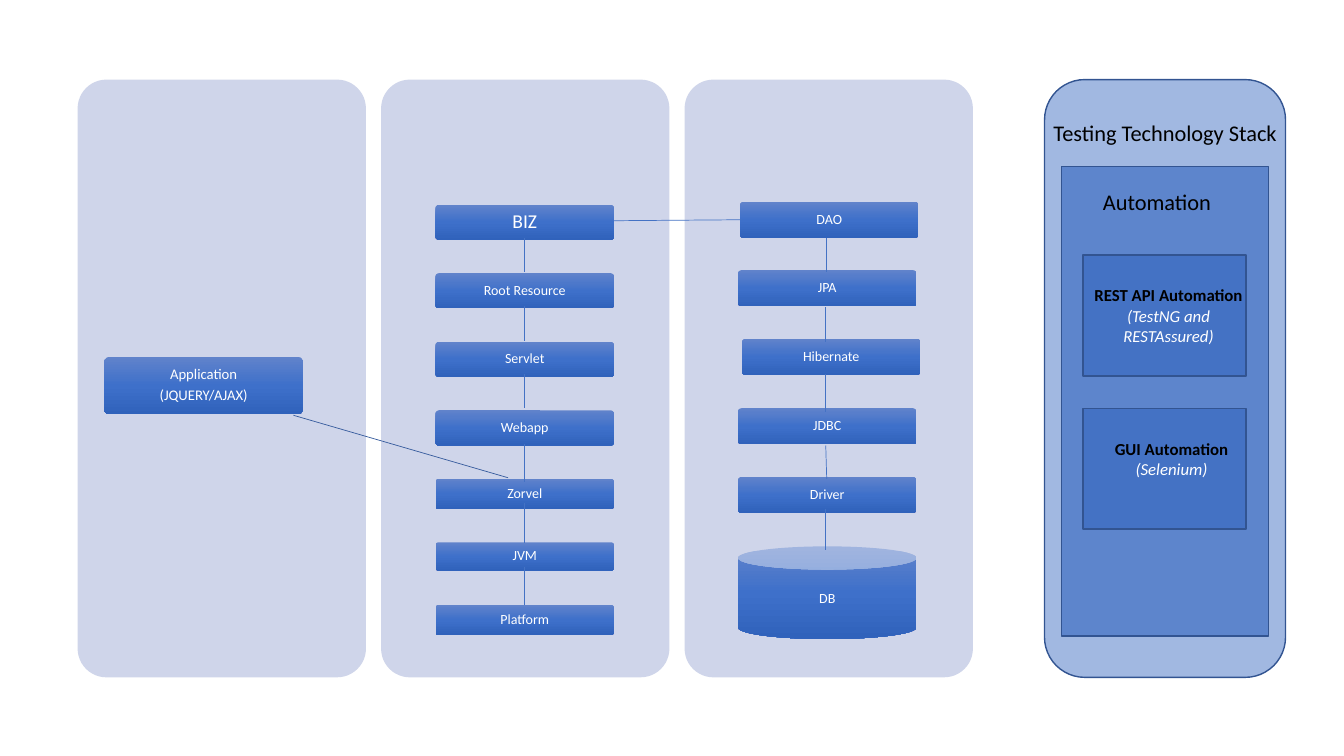
from copy import deepcopy

from lxml.etree import SubElement
from pptx import Presentation
from pptx.dml.color import RGBColor
from pptx.enum.shapes import MSO_CONNECTOR, MSO_SHAPE
from pptx.enum.text import MSO_ANCHOR, PP_ALIGN
from pptx.oxml.ns import qn
from pptx.util import Inches, Pt

FONT = "Calibri"
BLUE, OUTLINE, WHITE, BLACK = "4472C4", "325491", "FFFFFF", "000000"
BAR_WIDTH = 1.77
PANEL_TOP, PANEL_WIDTH, PANEL_HEIGHT = 0.79, 2.86, 5.93

# label, left and top within the panel, height, text size
SERVER_BARS = [
    ("BIZ", 0.54, 1.24, 0.35, 14),
    ("Root Resource", 0.54, 1.92, 0.35, 10),
    ("Servlet", 0.54, 2.6, 0.35, 10),
    ("Webapp", 0.54, 3.28, 0.35, 10),
    ("Zorvel", 0.54, 3.96, 0.3, 10),
    ("JVM", 0.54, 4.59, 0.28, 10),
    ("Platform", 0.54, 5.21, 0.3, 10),
]
DATA_BARS = [
    ("DAO", 0.55, 1.21, 0.36, 10),
    ("JPA", 0.53, 1.89, 0.36, 10),
    ("Hibernate", 0.57, 2.57, 0.36, 10),
    ("JDBC", 0.53, 3.26, 0.36, 10),
    ("Driver", 0.53, 3.94, 0.36, 10),
]
# x and y of start, x and y of end, within the panel
SERVER_LINKS = [(1.42, start, 1.42, end) for start, end in [
    (1.57, 1.91), (2.25, 2.59), (2.92, 3.26),
    (3.61, 3.99), (4.2, 4.6), (4.84, 5.21)]]
DATA_LINKS = [
    (1.41, 1.57, 1.41, 1.91), (1.4, 2.26, 1.4, 2.6), (1.4, 2.92, 1.4, 3.3),
    (1.4, 3.63, 1.41, 3.96), (1.4, 4.26, 1.4, 4.67)]


def rgb(hex_color):
    return RGBColor.from_string(hex_color)


def add_block(slide, kind, box, fill=BLUE, line=None, opacity=None, corner=None):
    block = slide.shapes.add_shape(kind, *map(Inches, box))
    block.shadow.inherit = False
    if corner is not None:
        block.adjustments[0] = corner
    block.fill.solid()
    block.fill.fore_color.rgb = rgb(fill)
    if opacity is not None:
        color = block.fill._xPr.find(f"{qn('a:solidFill')}/{qn('a:srgbClr')}")
        SubElement(color, qn("a:alpha"), val=str(opacity * 1000))
    if line:
        block.line.color.rgb = rgb(line)
        block.line.width = Pt(1)
    else:
        block.line.fill.background()
    return block


def shade(block):
    """Fill a block with the three-step vertical gradient."""
    block.fill.gradient()
    block.fill.gradient_angle = 270
    top, bottom = block.fill.gradient_stops
    top.color.rgb, bottom.color.rgb = rgb("6183CB"), rgb("3062BB")
    top.position, bottom.position = 0, 1
    stops = block.fill._xPr.find(f"{qn('a:gradFill')}/{qn('a:gsLst')}")
    middle = deepcopy(stops[0])
    middle.set("pos", "50000")
    middle[0].set("val", "3E70CA")
    stops.insert(1, middle)


def style_run(run, size, color, bold=False, italic=False):
    run.font.name, run.font.size = FONT, Pt(size)
    run.font.color.rgb = rgb(color)
    run.font.bold, run.font.italic = bold, italic


def add_bar(slide, box, label, size, kind=MSO_SHAPE.ROUNDED_RECTANGLE, corner=0.1):
    bar = add_block(slide, kind, box, corner=corner)
    shade(bar)
    frame = bar.text_frame
    frame.text = label
    frame.word_wrap = True
    frame.vertical_anchor = MSO_ANCHOR.MIDDLE
    frame.margin_left = frame.margin_right = Inches(0.02)
    frame.margin_top = frame.margin_bottom = Inches(0.02)
    for paragraph in frame.paragraphs:
        paragraph.alignment = PP_ALIGN.CENTER
        paragraph.line_spacing = 0.9
        style_run(paragraph.runs[0], size, WHITE)
    for paragraph in frame.paragraphs[:-1]:
        paragraph.space_after = Pt(3.7)


def add_link(slide, ends, color=BLUE):
    link = slide.shapes.add_connector(MSO_CONNECTOR.STRAIGHT, *map(Inches, ends))
    link.line.color.rgb = rgb(color)
    link.line.width = Pt(0.5)
    SubElement(link._element.spPr, qn("a:effectLst"))


def add_panel(slide, box):
    add_block(slide, MSO_SHAPE.ROUNDED_RECTANGLE, box, "CFD5EA", corner=0.1)


def add_client_panel(slide, box):
    left, top = box[:2]
    add_panel(slide, box)
    add_bar(slide, (left + 0.26, top + 2.75, 1.98, 0.57),
            "Application\n(JQUERY/AJAX)", 10.5)


def add_stack_panel(slide, box, bars):
    left, top = box[:2]
    add_panel(slide, box)
    for label, dx, dy, height, size in bars:
        add_bar(slide, (left + dx, top + dy, BAR_WIDTH, height), label, size)


def add_database(slide, panel):
    left, top = panel[:2]
    add_bar(slide, (left + 0.53, top + 4.63, BAR_WIDTH, 0.92), "DB", 10,
            MSO_SHAPE.CAN, 0.25)


def add_stack_links(slide, panel, links):
    left, top = panel[:2]
    for x1, y1, x2, y2 in links:
        add_link(slide, (left + x1, top + y1, left + x2, top + y2))


def add_caption(slide, box, title, detail=None):
    """Add a heading, or a bold name with its tools in italics."""
    caption = slide.shapes.add_textbox(*map(Inches, box))
    frame = caption.text_frame
    frame.word_wrap = detail is not None
    paragraph = frame.paragraphs[0]
    if detail is None:
        paragraph.text = title
        style_run(paragraph.runs[0], 16, BLACK)
        return
    paragraph.alignment = PP_ALIGN.CENTER
    for text, color, is_name in [(title + " ", BLACK, True), (detail, WHITE, False)]:
        run = paragraph.add_run()
        run.text = text
        style_run(run, 12, color, bold=is_name, italic=not is_name)


def add_testing_panel(slide, box):
    left, top = box[:2]
    add_block(slide, MSO_SHAPE.ROUNDED_RECTANGLE, box, line=OUTLINE, opacity=50)
    add_caption(slide, (left - 0.01, top + 0.34, 2.44, 0.37), "Testing Technology Stack")
    add_block(slide, MSO_SHAPE.RECTANGLE, (left + 0.17, top + 0.86, 2.05, 4.66),
              line=OUTLINE, opacity=72)
    add_caption(slide, (left + 0.48, top + 1.03, 1.29, 0.37), "Automation")
    for dy, dx, height, name, tools in [
            (1.74, 0.38, 0.71, "REST API Automation", "(TestNG and RESTAssured)"),
            (3.26, 0.41, 0.5, "GUI Automation", "(Selenium)")]:
        add_block(slide, MSO_SHAPE.RECTANGLE, (left + 0.38, top + dy, 1.62, 1.2),
                  line=OUTLINE)
        add_caption(slide, (left + dx, top + dy + 0.25, 1.7, height), name, tools)


def main():
    deck = Presentation()
    deck.slide_width, deck.slide_height = Inches(13.33), Inches(7.5)
    slide = deck.slides.add_slide(deck.slide_layouts[6])
    client, server, data = [
        (0.77 + column * 3.01, PANEL_TOP, PANEL_WIDTH, PANEL_HEIGHT)
        for column in range(3)]
    add_client_panel(slide, client)
    add_stack_panel(slide, server, SERVER_BARS)
    add_stack_panel(slide, data, DATA_BARS)
    add_database(slide, data)
    add_link(slide, (2.91, 4.12, 5.04, 4.74), "365B9D")
    add_link(slide, (6.08, 2.19, 7.36, 2.18))
    add_stack_links(slide, server, SERVER_LINKS)
    add_stack_links(slide, data, DATA_LINKS)
    add_testing_panel(slide, (10.36, PANEL_TOP, 2.39, PANEL_HEIGHT))
    deck.save("out.pptx")


if __name__ == "__main__":
    main()
